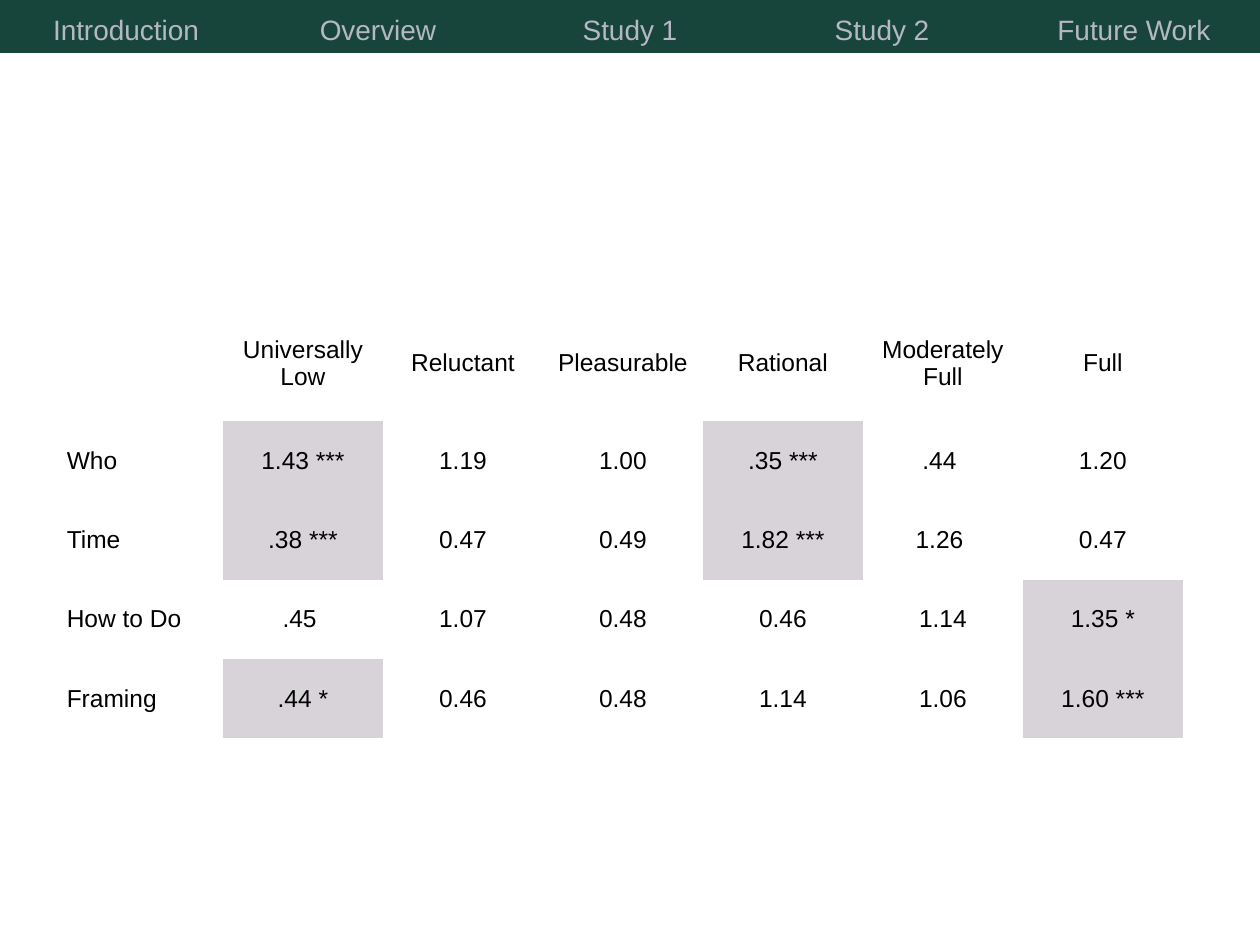
from dataclasses import dataclass

from pptx import Presentation
from pptx import util as u
from pptx.dml.color import RGBColor
from pptx.enum import text

COLORS = {"bar": "18453B", "bar_text": "B5B8C4", "text": "000000", "significant": "D8D3D9"}
FONT = "Arial"
NO_STYLE_NO_GRID = "{2D5ABB26-0587-4C30-8999-92F81FD0307C}"


@dataclass
class Grid:
    left: float
    top: float
    width: float
    row_heights: list[float]
    rows: list[list[str]]


@dataclass
class CellStyle:
    size: int
    color: str
    anchor: text.MSO_ANCHOR
    align: text.PP_ALIGN = text.PP_ALIGN.CENTER
    fill: str | None = None
    inset: float | None = None


def add_grid(s, grid: Grid):
    """Add a plain table with equal columns and no style."""
    frame = s.shapes.add_table(
        len(grid.rows), len(grid.rows[0]), u.Inches(grid.left), u.Inches(grid.top),
        u.Inches(grid.width), u.Inches(sum(grid.row_heights)))
    table = frame.table
    table.first_row = table.horz_banding = False
    table._tbl.tblPr.find("{*}tableStyleId").text = NO_STYLE_NO_GRID
    for row, height in zip(table.rows, grid.row_heights):
        row.height = u.Inches(height)
    return table


def write_cell(cell, value: str, style: CellStyle) -> None:
    """Set the fill, margins and text of one cell."""
    if style.fill:
        cell.fill.solid()
        cell.fill.fore_color.rgb = RGBColor.from_string(COLORS[style.fill])
    else:
        cell.fill.background()
    if style.inset is not None:
        cell.margin_left = cell.margin_right = u.Inches(style.inset)
        cell.margin_top = cell.margin_bottom = u.Inches(style.inset)
    cell.vertical_anchor = style.anchor
    if not value:
        return
    p = cell.text_frame.paragraphs[0]
    p.alignment = style.align
    r = p.add_run()
    r.text = value
    r.font.name = FONT
    r.font.size = u.Pt(style.size)
    r.font.color.rgb = RGBColor.from_string(COLORS[style.color])


def add_navigation(s, grid: Grid) -> None:
    style = CellStyle(16, "bar_text", text.MSO_ANCHOR.BOTTOM, fill="bar")
    table = add_grid(s, grid)
    for cell, label in zip(table.iter_cells(), grid.rows[0]):
        write_cell(cell, label, style)


def add_results(s, grid: Grid) -> None:
    table = add_grid(s, grid)
    for i, row in enumerate(grid.rows):
        for j, value in enumerate(row):
            # Starred values are significant and shaded; row labels sit left
            write_cell(table.cell(i, j), value, CellStyle(
                14, "text", text.MSO_ANCHOR.MIDDLE,
                align=text.PP_ALIGN.CENTER if j else text.PP_ALIGN.LEFT,
                fill="significant" if "*" in value else None,
                inset=0.03))


# Content
NAVIGATION = Grid(0, -0.03, 10, [0.45], [
    ["Introduction", "Overview", "Study 1", "Study 2", "Future Work"],
])
RESULTS = Grid(0.5, 2.43, 8.89, [0.91] + [0.63] * 4, [
    ["", "Universally Low", "Reluctant", "Pleasurable", "Rational", "Moderately Full", "Full"],
    ["Who", "1.43 ***", "1.19", "1.00", ".35 ***", ".44 ", "1.20"],
    ["Time", ".38 ***", "0.47", "0.49", "1.82 ***", "1.26 ", "0.47"],
    ["How to Do", ".45 ", "1.07", "0.48", "0.46", "1.14", "1.35 *"],
    ["Framing", ".44 *", "0.46", "0.48", "1.14", "1.06", "1.60 ***"],
])


def main() -> None:
    prs = Presentation()
    prs.slide_width, prs.slide_height = u.Inches(10), u.Inches(7.5)
    s = prs.slides.add_slide(prs.slide_layouts[6])
    add_navigation(s, NAVIGATION)
    add_results(s, RESULTS)
    prs.save("out.pptx")


if __name__ == "__main__":
    main()
